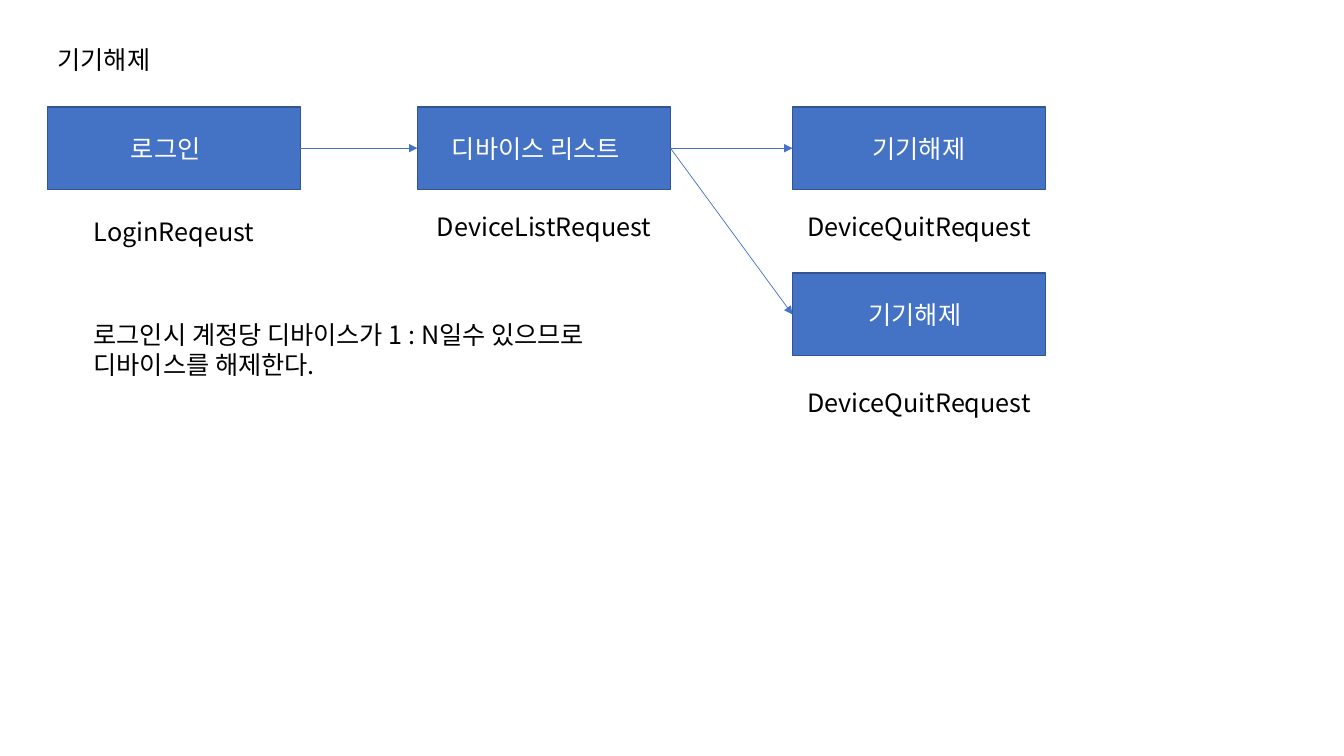
from dataclasses import dataclass

from pptx import Presentation, util as u
from pptx.dml.color import RGBColor
from pptx.enum import shapes, text
from pptx.oxml.ns import qn
from lxml import etree


@dataclass(frozen=True)
class Theme:
    font: str = "Noto Sans CJK KR"
    size: float = 18
    ink: str = "000000"
    paper: str = "FFFFFF"
    box: str = "4472C4"
    edge: str = "325491"
    edge_width: float = 1
    arrow_width: float = 0.5


THEME = Theme()
SLIDE_SIZE = (13.33, 7.5)
COLUMNS = (0.47, 4.14, 7.86)
ROWS = (1.06, 2.71)
BOX_SIZE = (2.51, 0.82)
RIGHT_SIDE, LEFT_SIDE = 3, 1  # connection sites of a rectangle
INSET = 0.1

# column, row, step, extra right inset, request, request top, request width
STEPS = (
    (0, 0, "로그인", 0.16, "LoginReqeust", 2.1, 2.07),
    (1, 0, "디바이스 리스트", 0.16, "DeviceListRequest", 2.05, 2.8),
    (2, 0, "기기해제", 0, "DeviceQuitRequest", 2.05, 2.83),
    (2, 1, "기기해제", 0.08, "DeviceQuitRequest", 3.79, 2.83),
)
FLOWS = ((0, 1), (1, 2), (1, 3))


def inches(*lengths):
    return [u.Inches(length) for length in lengths]


def write(frame, words, color, align, anchor=text.MSO_ANCHOR.TOP):
    frame.text = words
    frame.word_wrap = True
    frame.auto_size = text.MSO_AUTO_SIZE.NONE
    frame.vertical_anchor = anchor
    for paragraph in frame.paragraphs:
        paragraph.alignment = align
        paragraph.line_spacing = 1
        for run in paragraph.runs:
            run.font.name = THEME.font
            run.font.size = u.Pt(THEME.size)
            run.font.color.rgb = RGBColor.from_string(color)
            east_asian = etree.Element(qn("a:ea"), typeface=THEME.font)
            run.font._element.find(qn("a:latin")).addnext(east_asian)


def set_title(slide, words, left, top, width, height):
    title = slide.shapes.title
    title.left, title.top, title.width, title.height = inches(left, top, width, height)
    write(title.text_frame, words, THEME.ink, text.PP_ALIGN.LEFT)


def add_label(slide, words, left, top, width, height, align):
    label = slide.shapes.add_textbox(*inches(left, top, width, height))
    write(label.text_frame, words, THEME.ink, align)


def add_step(slide, column, row, words, extra_inset, request, request_top, request_width):
    """Draw one box with its request name centred below, and return the box."""
    left, (width, height) = COLUMNS[column], BOX_SIZE
    step = slide.shapes.add_shape(
        shapes.MSO_SHAPE.RECTANGLE, *inches(left, ROWS[row], width, height))
    step.shadow.inherit = False
    step.fill.solid()
    step.fill.fore_color.rgb = RGBColor.from_string(THEME.box)
    step.line.color.rgb = RGBColor.from_string(THEME.edge)
    step.line.width = u.Pt(THEME.edge_width)
    step.text_frame.margin_right = u.Inches(INSET + extra_inset)
    write(step.text_frame, words, THEME.paper,
          text.PP_ALIGN.CENTER, text.MSO_ANCHOR.MIDDLE)
    add_label(slide, request, left + (width - request_width) / 2, request_top,
              request_width, 0.4, text.PP_ALIGN.CENTER)
    return step


def add_arrow(slide, source, target):
    arrow = slide.shapes.add_connector(shapes.MSO_CONNECTOR.STRAIGHT, 0, 0, 0, 0)
    arrow.begin_connect(source, RIGHT_SIDE)
    arrow.end_connect(target, LEFT_SIDE)
    arrow.line.color.rgb = RGBColor.from_string(THEME.box)
    arrow.line.width = u.Pt(THEME.arrow_width)
    etree.SubElement(arrow.line._get_or_add_ln(), qn("a:tailEnd"), type="triangle")
    etree.SubElement(arrow._element.spPr, qn("a:effectLst"))


def main():
    deck = Presentation()
    deck.slide_width, deck.slide_height = inches(*SLIDE_SIZE)
    slide = deck.slides.add_slide(deck.slide_layouts[5])
    set_title(slide, "기기해제", COLUMNS[0], 0.39, 2.29, 0.4)
    steps = [add_step(slide, *step) for step in STEPS]
    for source, target in FLOWS:
        add_arrow(slide, steps[source], steps[target])
    add_label(slide, "로그인시 계정당 디바이스가 1 : N일수 있으므로\n디바이스를 해제한다.",
              0.83, 3.12, 6.28, 0.71, text.PP_ALIGN.LEFT)
    deck.save("out.pptx")


if __name__ == "__main__":
    main()
